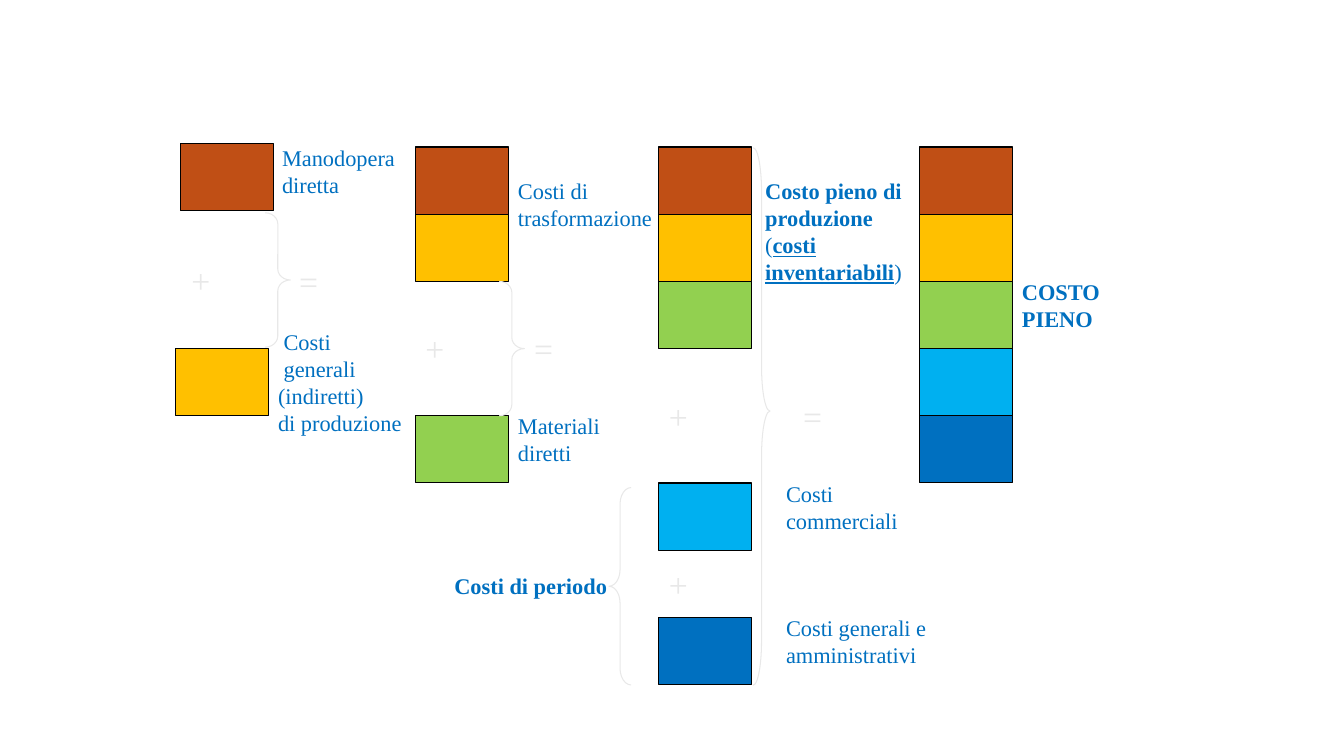
"""Build the slide on how cost blocks add up to the full cost."""
from pptx import Presentation
from pptx.dml.color import RGBColor
from pptx.enum import shapes, text
from pptx.util import Pt

BLUE = RGBColor(0x00, 0x70, 0xC0)
RUST = RGBColor(0xC0, 0x4F, 0x15)
GOLD = RGBColor(0xFF, 0xC0, 0x00)
GREEN = RGBColor(0x92, 0xD0, 0x50)
SKY = RGBColor(0x00, 0xB0, 0xF0)
PALE = RGBColor(0xE8, 0xE8, 0xE8)
BLACK = RGBColor(0, 0, 0)
FONT = "Times New Roman"

WIDE, HIGH, TOP = 66.4, 48, 105
STACKS = [
    (128.8, -0.05, [RUST]),
    (125.2, 3, [GOLD]),
    (296.7, 0, [RUST, GOLD]),
    (296.7, 4, [GREEN]),
    (470.6, 0, [RUST, GOLD, GREEN]),
    (470.6, 5, [SKY]),
    (470.6, 7, [BLUE]),
    (656.7, 0, [RUST, GOLD, GREEN, SKY, BLUE]),
]
RIGHT = shapes.MSO_SHAPE.RIGHT_BRACE
LEFT = shapes.MSO_SHAPE.LEFT_BRACE
BRACES = [
    (RIGHT, 189.4, 152, 18, 96, 0.44, 0.5),
    (RIGHT, 356.6, 201, 18, 96, 0.44, 0.5),
    (RIGHT, 538, 105.5, 12, 384, 2.66, 0.49),
    (LEFT, 435, 348.3, 15.8, 141, 0.75, 0.5),
]
SIGNS = [
    ("+", 129.6, 182.4), ("=", 206.6, 183),
    ("+", 296.7, 231), ("=", 374.4, 231),
    ("+", 470.6, 279.4), ("=", 566.6, 279.4),
    ("+", 470.6, 399),
]
LABELS = [
    (194.4, 99.4, 102, 46, [[("Manodopera", "")], [("diretta", "")]]),
    (191.5, 230.8, 104, 85, [[(" Costi", "")], [(" generali", "")],
                             [("(indiretti)", "")], [("di produzione", "")]]),
    (362.9, 291, 84, 46, [[("Materiali", "")], [("diretti", "")]]),
    (362.9, 123.3, 120, 46, [[("Costi di", "")], [("trasformazione", "")]]),
    (722.9, 195.4, 84, 46, [[("COSTO", "b")], [("PIENO", "b")]]),
    (539.5, 123.3, 123, 85, [[("Costo pieno di produzione", "b")],
                             [("(", ""), ("costi", "bu")],
                             [("inventariabili", "bu"), (")", "")]]),
    (554.4, 339.2, 96, 46, [[("Costi", "")], [("commerciali", "")]]),
    (554.4, 435.2, 120, 46, [[("Costi generali e amministrativi", "")]]),
    (317.5, 405.4, 124, 27, [[("Costi di periodo", "b")]]),
]


def draw(slide, kind, box, edge, fill=None):
    """Add one outlined shape, filled if a colour is given."""
    item = slide.shapes.add_shape(kind, *map(Pt, box))
    item.shadow.inherit = False
    item.line.color.rgb = edge
    item.line.width = Pt(0.75)
    if fill is None:
        item.fill.background()
    else:
        item.fill.solid()
        item.fill.fore_color.rgb = fill
    return item


def write(slide, box, lines, size, color):
    """Add a text box, run by run; style letters are b and u."""
    frame = slide.shapes.add_textbox(*map(Pt, box)).text_frame
    frame.word_wrap = True
    frame.auto_size = text.MSO_AUTO_SIZE.SHAPE_TO_FIT_TEXT
    for i, line in enumerate(lines):
        para = frame.add_paragraph() if i else frame.paragraphs[0]
        for words, style in line:
            run = para.add_run()
            run.text = words
            font = run.font
            font.name, font.size = FONT, Pt(size)
            font.bold, font.underline = "b" in style, "u" in style
            font.color.rgb = color


def main():
    """Place the stacks, braces, signs and labels."""
    deck = Presentation()
    deck.slide_width, deck.slide_height = Pt(960), Pt(540)
    slide = deck.slides.add_slide(deck.slide_layouts[6])
    for left, row, fills in STACKS:
        for i, fill in enumerate(fills):
            box = (left, TOP + (row + i) * HIGH, WIDE, HIGH)
            draw(slide, shapes.MSO_SHAPE.RECTANGLE, box, BLACK, fill)
    for kind, *box, curl, tip in BRACES:
        brace = draw(slide, kind, box, PALE)
        brace.adjustments[0], brace.adjustments[1] = curl, tip
    for sign, left, top in SIGNS:
        write(slide, (left, top, 60, 36), [[(sign, "")]], 24, PALE)
    for *box, lines in LABELS:
        write(slide, box, lines, 16, BLUE)
    deck.save("out.pptx")


if __name__ == "__main__":
    main()
